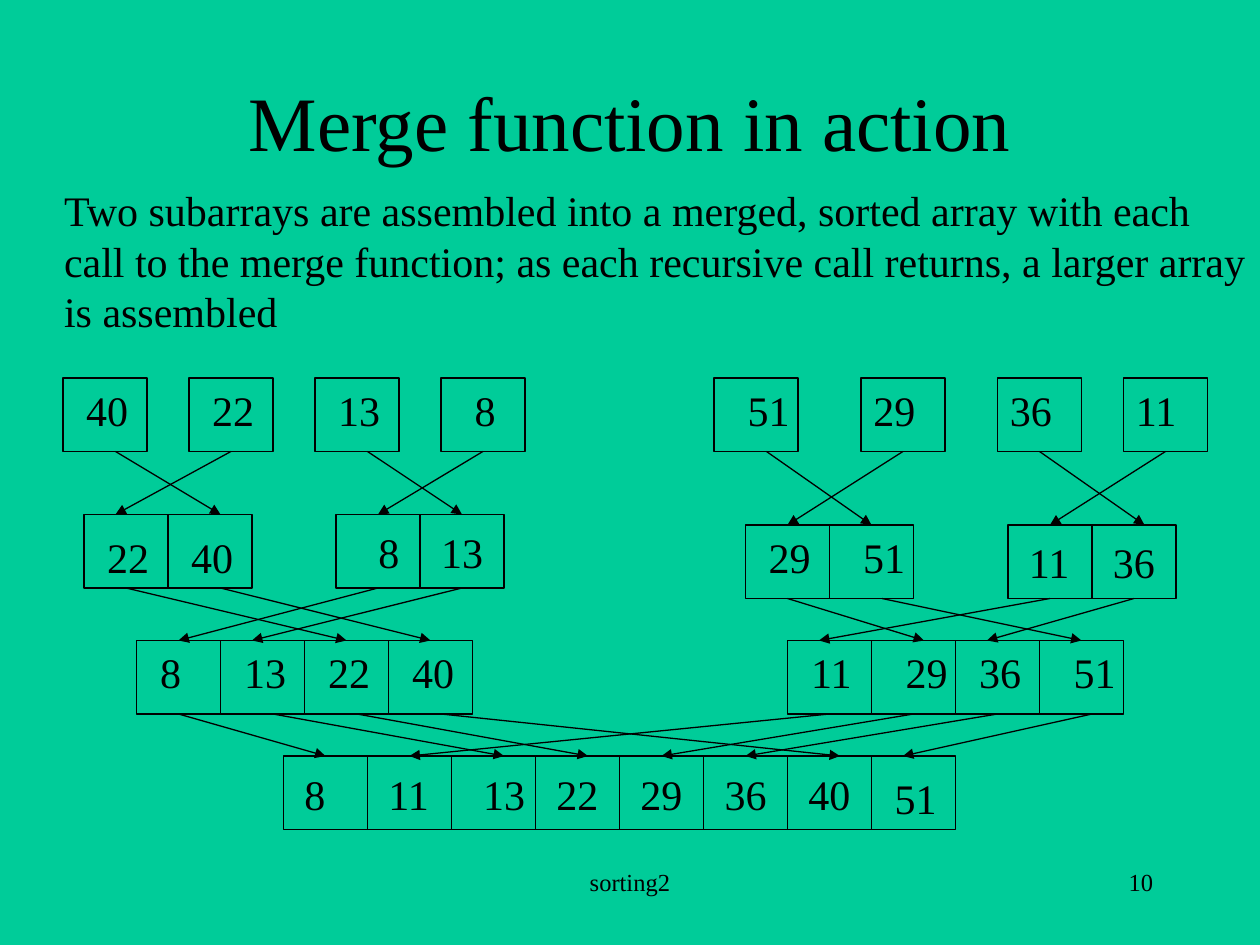
import pptx
import pptx.dml.color
import pptx.enum.shapes
import pptx.enum.text
import pptx.oxml
import pptx.oxml.ns
import pptx.util

Pt = pptx.util.Pt
PP_ALIGN = pptx.enum.text.PP_ALIGN
ANCHOR = pptx.enum.text.MSO_ANCHOR
FONT = "Times New Roman"
INK = "000000"
BACKGROUND = "00CC99"
CELL_WIDTH, CELL_HEIGHT = 48, 42
BOTTOM, TOP = 2, 0

# Each array: left, top, text inset from the top, {value: text inset from the left}
LEVELS = [
    [(36, 216, 3.6, {40: 13.2}), (108, 216, 3.6, {22: 13.2}),
     (180, 216, 3.6, {13: 13.2}), (252, 216, 3.6, {8: 19.2}),
     (408, 216, 3.6, {51: 19.2}), (492, 216, 3.6, {29: 7.2}),
     (570, 216, 3.6, {36: 7.2}), (642, 216, 3.6, {11: 7.2})],
    [(48, 294, 9.6, {22: 13.2, 40: 13.2}), (192, 294, 7, {8: 24.2, 13: 12}),
     (426, 300, 3.6, {29: 13.2, 51: 19.2}), (576, 300, 6.7, {11: 12, 36: 12})],
    [(78, 366, 3.6, {8: 13.5, 13: 13.5, 22: 13.5, 40: 13.5}),
     (450, 366, 3.6, {11: 13.5, 29: 19.5, 36: 13.5, 51: 19.5})],
    [(162, 432, 7.2, {8: 12, 11: 12, 13: 18, 22: 12, 29: 12, 36: 12, 40: 12}),
     (498, 432, 9.6, {51: 13.2})],
]

# For each merge: {value: shift of the arrow's start and end from the cell centres}
ARROW_SHIFTS = [
    {40: (6, 6), 22: (0, -6), 13: (6, 0), 51: (6, 0), 36: (0, 6)},
    {13: (0, -6), 40: (6, 0), 11: (0, -6), 29: (0, 6), 36: (0, -6), 51: (6, 0)},
    {13: (6, 6), 22: (6, 6), 40: (6, 6), 51: (6, -6)},
]


def color(hex_string):
    return pptx.dml.color.RGBColor.from_string(hex_string)


def write(paragraph, text, size, alignment=PP_ALIGN.LEFT):
    paragraph.alignment = alignment
    run = paragraph.add_run()
    run.text = text
    run.font.name = FONT
    run.font.size = Pt(size)
    run.font.color.rgb = color(INK)


def add_title(slide, text):
    title = slide.shapes.title
    title.left, title.top, title.width, title.height = Pt(54), Pt(24), Pt(612), Pt(90)
    title.text_frame.vertical_anchor = ANCHOR.MIDDLE
    write(title.text_frame.paragraphs[0], text, 44, PP_ALIGN.CENTER)


def add_text(slide, box, lines, size, alignment=PP_ALIGN.LEFT, wrap=True):
    shape = slide.shapes.add_textbox(*map(Pt, box))
    frame = shape.text_frame
    frame.word_wrap = wrap
    for index, line in enumerate(lines):
        paragraph = frame.add_paragraph() if index else frame.paragraphs[0]
        write(paragraph, line, size, alignment)


def add_cell(slide, left, top, value, inset_left, inset_top):
    cell = slide.shapes.add_shape(
        pptx.enum.shapes.MSO_SHAPE.RECTANGLE,
        Pt(left), Pt(top), Pt(CELL_WIDTH), Pt(CELL_HEIGHT))
    cell.shadow.inherit = False
    cell.fill.background()
    cell.line.color.rgb = color(INK)
    cell.line.width = Pt(0.75)
    frame = cell.text_frame
    frame.word_wrap = True
    frame.vertical_anchor = ANCHOR.TOP
    frame.margin_left, frame.margin_top = Pt(inset_left), Pt(inset_top)
    frame.margin_right = frame.margin_bottom = 0
    write(frame.paragraphs[0], str(value), 24)
    return cell


def add_level(slide, arrays):
    cells = {}
    for left, top, inset_top, values in arrays:
        for column, (value, inset_left) in enumerate(values.items()):
            cells[value] = add_cell(slide, left + column * CELL_WIDTH, top,
                                    value, inset_left, inset_top)
    return cells


def add_arrow(slide, source, target, start_shift, end_shift):
    arrow = slide.shapes.add_connector(
        pptx.enum.shapes.MSO_CONNECTOR.STRAIGHT,
        source.left + source.width // 2 + Pt(start_shift), source.top + source.height,
        target.left + target.width // 2 + Pt(end_shift), target.top)
    if not start_shift:
        arrow.begin_connect(source, BOTTOM)
    if not end_shift:
        arrow.end_connect(target, TOP)
    arrow.line.color.rgb = color(INK)
    arrow.line.width = Pt(0.75)
    namespace = pptx.oxml.ns.nsdecls("a")
    arrow.line._get_or_add_ln().append(
        pptx.oxml.parse_xml(f'<a:tailEnd {namespace} type="triangle"/>'))
    arrow._element.spPr.append(pptx.oxml.parse_xml(f"<a:effectLst {namespace}/>"))


def main():
    presentation = pptx.Presentation()
    presentation.slide_width, presentation.slide_height = Pt(720), Pt(540)
    slide = presentation.slides.add_slide(presentation.slide_layouts[5])
    slide.background.fill.solid()
    slide.background.fill.fore_color.rgb = color(BACKGROUND)

    add_title(slide, "Merge function in action")
    add_text(slide, (29.5, 102, 690.5, 93.6), [
        "Two subarrays are assembled into a merged, sorted array with each",
        "call to the merge function; as each recursive call returns, a larger array",
        "is assembled",
    ], 24, wrap=False)

    levels = [add_level(slide, arrays) for arrays in LEVELS]
    for sources, targets, shifts in zip(levels, levels[1:], ARROW_SHIFTS):
        for value, source in sources.items():
            add_arrow(slide, source, targets[value], *shifts.get(value, (0, 0)))

    add_text(slide, (246, 492, 228, 36), ["sorting2"], 14, PP_ALIGN.CENTER)
    add_text(slide, (516, 492, 150, 36), ["10"], 14, PP_ALIGN.RIGHT)
    presentation.save("out.pptx")


if __name__ == "__main__":
    main()
